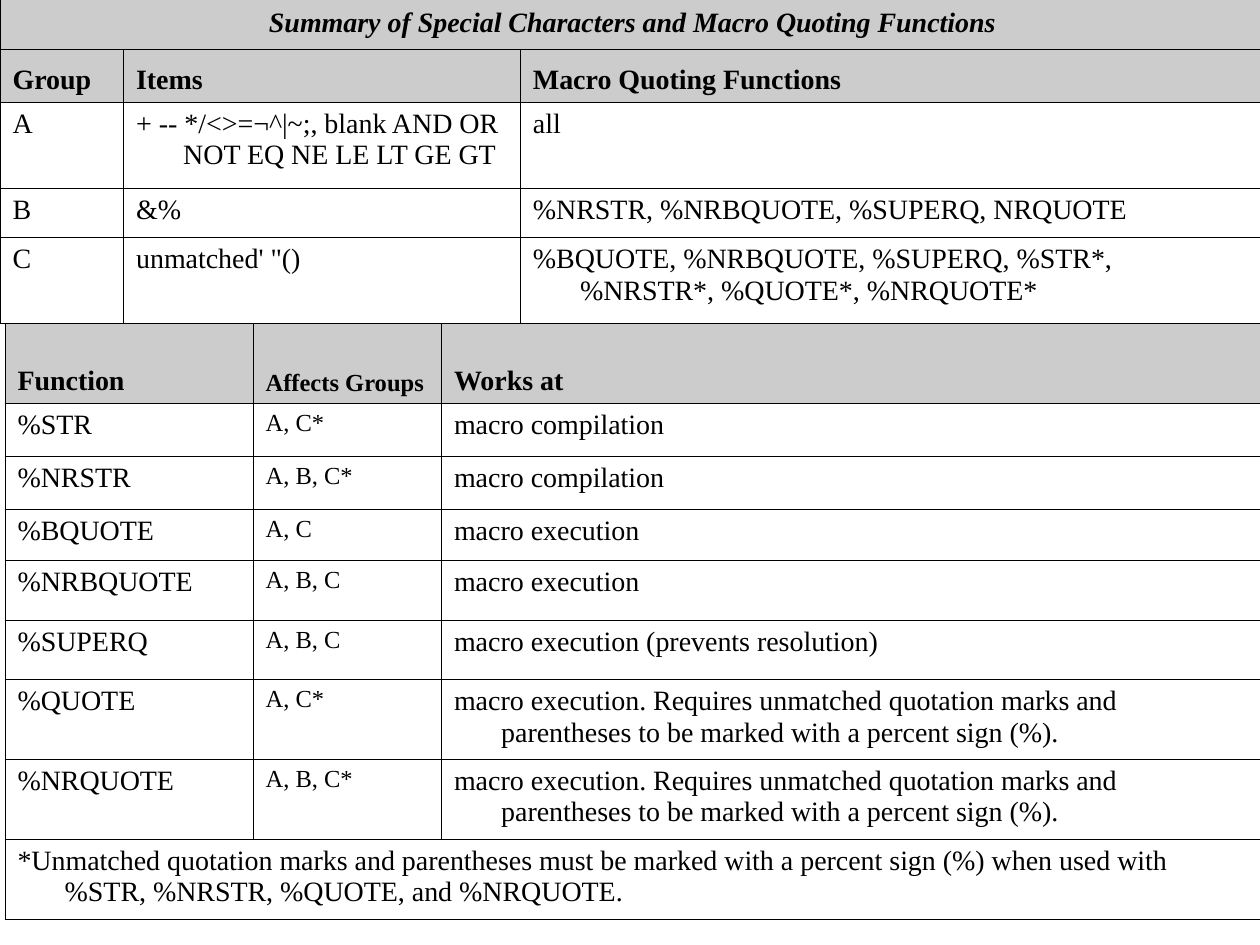
"""Build a slide with two tables on special characters and macro quoting functions."""
from dataclasses import dataclass

from lxml.etree import fromstring
from pptx import Presentation
from pptx.dml.color import RGBColor
from pptx.enum.text import MSO_ANCHOR, PP_ALIGN
from pptx.oxml.ns import nsdecls
from pptx.util import Cm, Pt


@dataclass(frozen=True)
class Theme:
    font: str = "Times New Roman"
    ink: str = "000000"
    header: str = "CCCCCC"
    body: str = "FFFFFF"
    size: float = 16
    small: float = 14
    border: float = 0.34


theme = Theme()


def add_borders(cell):
    properties = cell._tc.get_or_add_tcPr()
    for index, side in enumerate(("lnL", "lnR", "lnT", "lnB")):
        properties.insert(index, fromstring(
            f'<a:{side} {nsdecls("a")} w="{Pt(theme.border)}"><a:solidFill>'
            f'<a:srgbClr val="{theme.ink}"/></a:solidFill></a:{side}>'))


requires_marks = ("macro execution. Requires unmatched quotation marks and "
                  "parentheses to be marked with a percent sign (%).")
tables = [
    {
        "place": (0, -0.08),
        "columns": (2.49, 8, 15.01),
        "heights": (1.07, 1.07, 1.73, 1, 1.73),
        "headers": 2,
        "small_column": None,
        "rows": [
            ("Summary of Special Characters and Macro Quoting Functions",),
            ("Group", "Items", "Macro Quoting Functions"),
            ("A", "+ -- */<>=¬^|~;, blank AND OR NOT EQ NE LE LT GE GT", "all"),
            ("B", "&%", "%NRSTR, %NRBQUOTE, %SUPERQ, NRQUOTE"),
            ("C", "unmatched' \"()",
             "%BQUOTE, %NRBQUOTE, %SUPERQ, %STR*, %NRSTR*, %QUOTE*, %NRQUOTE*"),
        ],
    },
    {
        "place": (0.1, 6.52),
        "columns": (5, 3.8, 16.6),
        "heights": (1.61, 1.07, 1.07, 1.03, 1.2, 1.2, 1.61, 1.61, 1.61),
        "headers": 1,
        "small_column": 1,
        "rows": [
            ("Function", "Affects Groups", "Works at"),
            ("%STR", "A, C*", "macro compilation"),
            ("%NRSTR", "A, B, C*", "macro compilation"),
            ("%BQUOTE", "A, C", "macro execution"),
            ("%NRBQUOTE", "A, B, C", "macro execution"),
            ("%SUPERQ", "A, B, C", "macro execution (prevents resolution)"),
            ("%QUOTE", "A, C*", requires_marks),
            ("%NRQUOTE", "A, B, C*", requires_marks),
            ("*Unmatched quotation marks and parentheses must be marked with a percent "
             "sign (%) when used with %STR, %NRSTR, %QUOTE, and %NRQUOTE.",),
        ],
    },
]

deck = Presentation()
deck.slide_width, deck.slide_height = Cm(25.4), Cm(19.05)
page = deck.slides.add_slide(deck.slide_layouts[6])

for layout in tables:
    columns, heights = layout["columns"], layout["heights"]
    left, top = layout["place"]
    table = page.shapes.add_table(len(heights), len(columns), Cm(left), Cm(top),
                                  Cm(sum(columns)), Cm(sum(heights))).table
    table.first_row = table.horz_banding = False
    for column, width in zip(table.columns, columns):
        column.width = Cm(width)
    for row, height in zip(table.rows, heights):
        row.height = Cm(height)

    for row_index, texts in enumerate(layout["rows"]):
        is_header = row_index < layout["headers"]
        is_merged = len(texts) == 1
        is_title = is_header and is_merged
        if is_merged:
            table.cell(row_index, 0).merge(table.cell(row_index, len(columns) - 1))
        for column_index in range(len(columns)):
            cell = table.cell(row_index, column_index)
            cell.fill.solid()
            cell.fill.fore_color.rgb = RGBColor.from_string(
                theme.header if is_header else theme.body)
            add_borders(cell)
        for column_index, text in enumerate(texts):
            cell = table.cell(row_index, column_index)
            cell.vertical_anchor = (MSO_ANCHOR.MIDDLE if is_title else
                                    MSO_ANCHOR.BOTTOM if is_header else MSO_ANCHOR.TOP)
            para = cell.text_frame.paragraphs[0]
            para.alignment = PP_ALIGN.CENTER if is_title else PP_ALIGN.LEFT
            for name, value in {"marL": Cm(0.95), "indent": Cm(-0.95)}.items():
                para._p.get_or_add_pPr().set(name, str(value))
            span = para.add_run()
            span.text = text
            is_small = column_index == layout["small_column"]
            formats = {"name": theme.font, "bold": is_header, "italic": is_title,
                       "size": Pt(theme.small if is_small else theme.size)}
            for name, value in formats.items():
                setattr(span.font, name, value)
            span.font.color.rgb = RGBColor.from_string(theme.ink)

deck.save("out.pptx")
